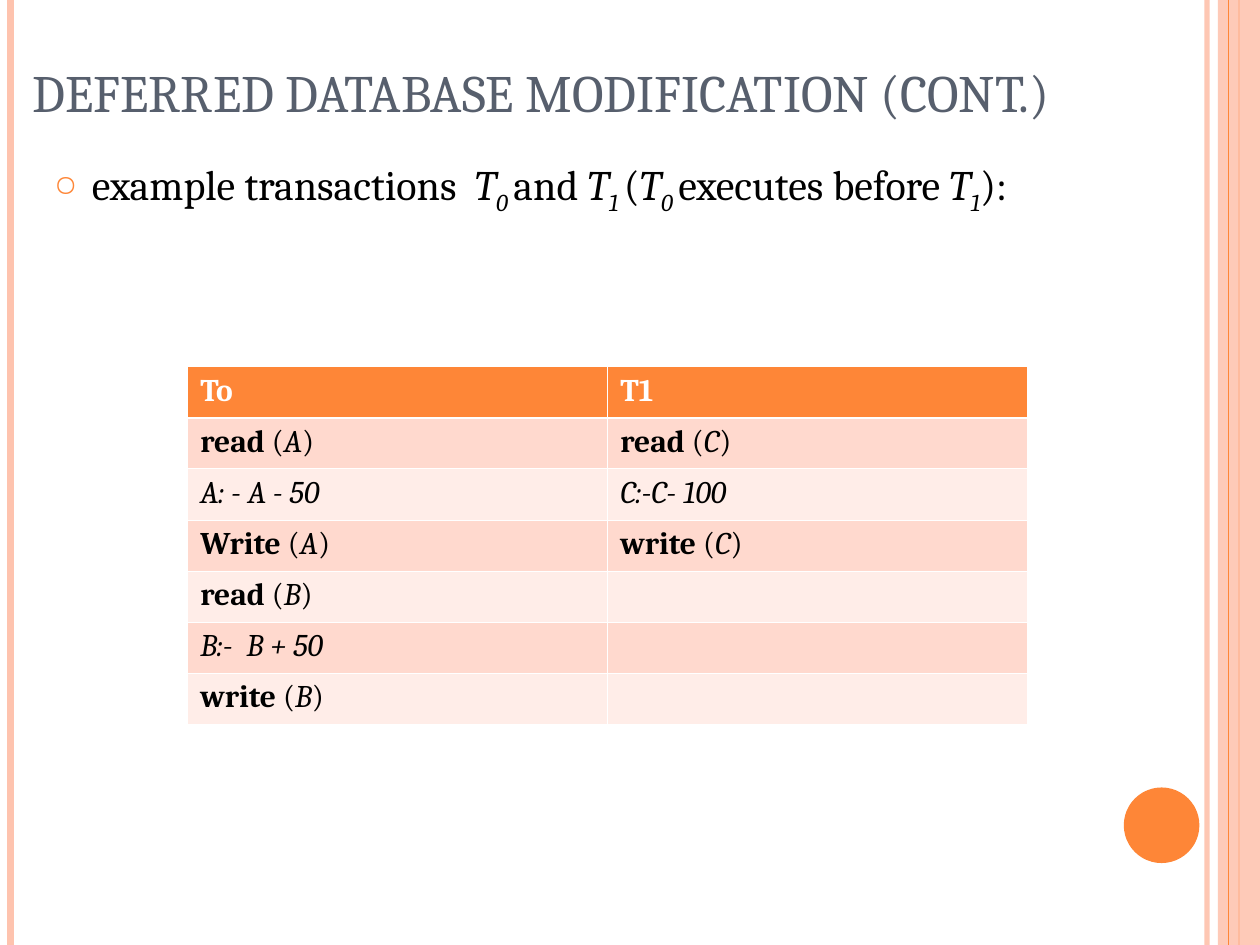
from typing import NamedTuple

from lxml import etree
from pptx import Presentation
from pptx.dml.color import RGBColor
from pptx.enum import shapes as sh, text as tx
from pptx.oxml import ns
from pptx.util import Pt


class Theme:
    font = "Cambria"
    head, body, cell = 30, 24, 18
    slate, black, white = "575F6D", "000000", "FFFFFF"
    orange, peach = "FE8637", "FEC3AE"
    bands = ("FFD9CE", "FFEDE8")
    thin, thick = 0.45, 1.47


class Run(NamedTuple):
    text: str
    style: str = ""  # b bold, i italic, s subscript


class Rule(NamedTuple):
    x: float
    width: float
    color: str
    alpha: int = 100


def sub(parent, tag: str, **attrs):
    return etree.SubElement(parent, ns.qn(tag), attrs)


def fade(fill, alpha: int) -> None:
    """Set opacity, in percent, on the colour below a fill or line element."""
    for color in fill.iter(ns.qn("a:srgbClr")):
        sub(color, "a:alpha", val=str(alpha * 1000))


def draw_rule(slide, rule: Rule, high: float) -> None:
    line = slide.shapes.add_connector(
        sh.MSO_CONNECTOR.STRAIGHT, Pt(rule.x), Pt(0), Pt(rule.x), Pt(high))
    line.line.width = Pt(rule.width)
    line.line.color.rgb = RGBColor.from_string(rule.color)
    if rule.alpha < 100:
        fade(line._element.spPr, rule.alpha)
    sub(line._element.spPr, "a:effectLst")


def draw_shape(slide, kind, box: tuple, color: str, alpha: int = 100) -> None:
    shape = slide.shapes.add_shape(kind, *map(Pt, box))
    shape.shadow.inherit = False
    shape.fill.solid()
    shape.fill.fore_color.rgb = RGBColor.from_string(color)
    shape.line.fill.background()
    if alpha < 100:
        fade(shape._element.spPr, alpha)


def write(para, runs: list[Run], size: float, color: str) -> None:
    for text, style in runs:
        run = para.add_run()
        run.text = text
        font = run.font
        font.name, font.size = Theme.font, Pt(size)
        font.bold, font.italic = "b" in style, "i" in style
        font.color.rgb = RGBColor.from_string(color)
        if "s" in style:
            font._element.set("baseline", "-25000")


def add_text(slide, box: tuple, runs: list[Run], size: float, color: str,
             anchor=tx.MSO_ANCHOR.TOP):
    frame = slide.shapes.add_textbox(*map(Pt, box)).text_frame
    frame.word_wrap = True
    frame.vertical_anchor = anchor
    write(frame.paragraphs[0], runs, size, color)
    return frame.paragraphs[0]


def add_bullet(para, mark: str, indent: float) -> None:
    props = para._p.get_or_add_pPr()
    props.set("marL", str(Pt(indent)))
    props.set("indent", str(-Pt(indent)))
    sub(sub(props, "a:buClr"), "a:srgbClr", val=Theme.orange)
    sub(props, "a:buSzPct", val="70000")
    sub(props, "a:buChar", char=mark)


def set_edges(cell, **widths: float) -> None:
    props = cell._tc.get_or_add_tcPr()
    for side in "LRTB":
        width = widths.get(side, Theme.thin)
        edge = sub(props, f"a:ln{side}", w=str(Pt(width)))
        sub(sub(edge, "a:solidFill"), "a:srgbClr", val=Theme.white)


def add_grid(slide, rows: list, box: tuple) -> None:
    grid = slide.shapes.add_table(len(rows), len(rows[0]), *map(Pt, box)).table
    for r, row in enumerate(rows):
        grid.rows[r].height = Pt(box[3] / len(rows))
        for c, runs in enumerate(row):
            cell = grid.cell(r, c)
            edges = {0: {"B": Theme.thick}, 1: {"T": Theme.thick}}.get(r, {})
            set_edges(cell, **edges)
            cell.fill.solid()
            fill = Theme.bands[(r - 1) % 2] if r else Theme.orange
            cell.fill.fore_color.rgb = RGBColor.from_string(fill)
            ink = Theme.black if r else Theme.white
            write(cell.text_frame.paragraphs[0], runs, Theme.cell, ink)


def call(verb: str, item: str) -> list[Run]:
    return [Run(f"{verb} ", "b"), Run("("), Run(item, "i"), Run(")")]


def term(index: str) -> list[Run]:
    return [Run("T", "i"), Run(index, "is")]


def main() -> None:
    deck = Presentation()
    wide, high = 720, 540
    deck.slide_width, deck.slide_height = Pt(wide), Pt(high)
    slide = deck.slides.add_slide(deck.slide_layouts[6])

    # Side stripes and disc
    for rule in (Rule(689.8, 3, Theme.peach, 93),
                 Rule(6, 4.5, Theme.peach),
                 Rule(708, 1.5, Theme.orange)):
        draw_rule(slide, rule, high)
    draw_shape(slide, sh.MSO_SHAPE.RECTANGLE, (696, 0, 24, high),
               Theme.peach, 87)
    draw_rule(slide, Rule(702, 0.75, Theme.orange), high)
    draw_shape(slide, sh.MSO_SHAPE.OVAL, (642.2, 450, 43.2, 43.2),
               Theme.orange)

    # Title and lead sentence
    add_text(slide, (11.5, 15.8, 708, 58.3),
             [Run("DEFERRED DATABASE MODIFICATION (CONT.)")],
             Theme.head, Theme.slate, tx.MSO_ANCHOR.BOTTOM)
    lead = [Run("example transactions  "), *term("0 "), Run("and "),
            *term("1 "), Run("("), *term("0 "), Run("executes before "),
            *term("1"), Run("):")]
    para = add_text(slide, (23.8, 87.1, 696, 422), lead,
                    Theme.body, Theme.black)
    add_bullet(para, "○", 21.6)

    # Transaction table
    rows = [
        ([Run("To", "b")], [Run("T1", "b")]),
        (call("read", "A"), call("read", "C")),
        ([Run("A: - A - 50", "i")], [Run("C:-C- 100", "i")]),
        (call("Write", "A"), call("write", "C")),
        (call("read", "B"), []),
        ([Run("B:-  B + 50", "i")], []),
        (call("write", "B"), []),
    ]
    add_grid(slide, rows, (107.3, 209.5, 480, 204.4))

    deck.save("out.pptx")


if __name__ == "__main__":
    main()
